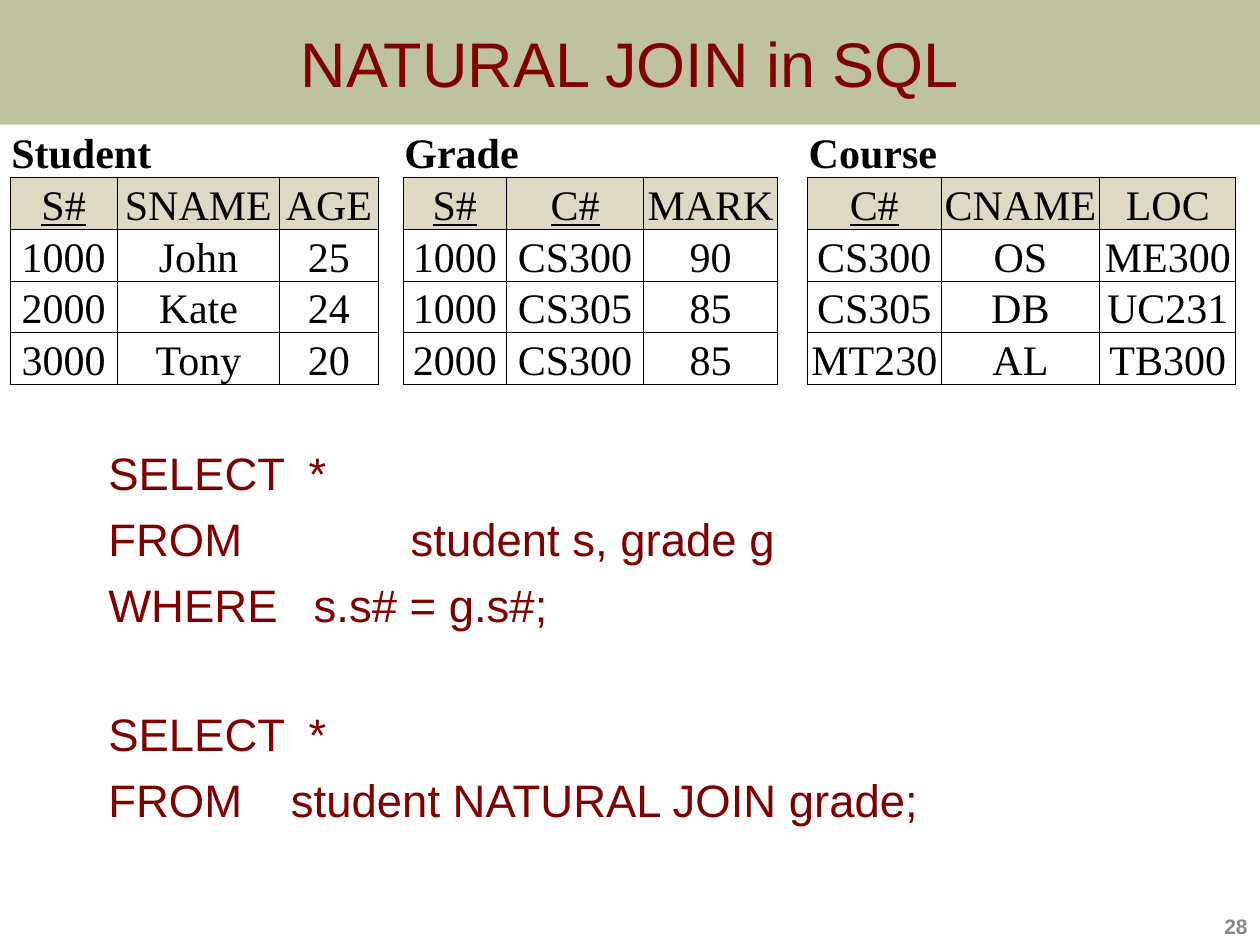
import pptx
import pptx.util
import pptx.dml.color
import pptx.enum.shapes
import pptx.enum.text
import pptx.oxml.ns
import lxml.etree
import dataclasses

Inches = pptx.util.Inches
Pt = pptx.util.Pt
Align = pptx.enum.text.PP_ALIGN
Anchor = pptx.enum.text.MSO_ANCHOR
tag = pptx.oxml.ns.qn


@dataclasses.dataclass(frozen=True)
class Theme:
    sans: str = "Arial"
    serif: str = "Times New Roman"
    olive: str = "6E7524"
    maroon: str = "800000"
    black: str = "000000"
    white: str = "FFFFFF"
    sand: str = "DDD9C4"
    gray: str = "898989"
    title: int = 36
    code: int = 26
    cell: int = 24
    page: int = 12


class Deck:
    def __init__(self, theme):
        self.theme = theme
        self.show = pptx.Presentation()
        self.show.slide_width = Inches(10)
        self.show.slide_height = Inches(7.5)
        self.slide = self.show.slides.add_slide(self.show.slide_layouts[6])

    def color(self, code):
        return pptx.dml.color.RGBColor.from_string(code)

    def apply(self, item, values):
        for key, value in values.items():
            setattr(item, key, value)

    def text(self, para, words, name, size, color, **extra):
        run = para.add_run()
        run.text = words
        self.apply(run.font, {"name": name, "size": Pt(size), **extra})
        run.font.color.rgb = self.color(color)

    def title(self, words):
        bar = self.slide.shapes.add_shape(
            pptx.enum.shapes.MSO_SHAPE.RECTANGLE, 0, 0, Inches(10), Inches(0.99))
        bar.shadow.inherit = False
        bar.line.fill.background()
        bar.fill.solid()
        bar.fill.fore_color.rgb = self.color(self.theme.olive)
        shade = bar._element.spPr.find(".//" + tag("a:srgbClr"))
        lxml.etree.SubElement(shade, tag("a:alpha"), val="44000")
        bar.text_frame.vertical_anchor = Anchor.MIDDLE
        para = bar.text_frame.paragraphs[0]
        para.alignment = Align.CENTER
        self.text(para, words, self.theme.sans, self.theme.title, self.theme.maroon)

    def box(self, left, top, width, height, **values):
        frame = self.slide.shapes.add_textbox(
            Inches(left), Inches(top), Inches(width), Inches(height)).text_frame
        self.apply(frame, {"word_wrap": True, **values})
        return frame

    def code(self, lines):
        frame = self.box(0.26, 3.48, 9.07, 3.02, margin_left=Inches(0.6), margin_right=0)
        for index, (words, stop, space) in enumerate(lines):
            para = frame.paragraphs[0] if index == 0 else frame.add_paragraph()
            para.space_before = Pt(space)
            tabs = lxml.etree.SubElement(para._p.get_or_add_pPr(), tag("a:tabLst"))
            lxml.etree.SubElement(tabs, tag("a:tab"), pos=str(Inches(stop)), algn="l")
            self.text(para, words, self.theme.sans, self.theme.code, self.theme.maroon)

    def page(self, words):
        frame = self.box(7.92, 7, 2.08, 0.5, vertical_anchor=Anchor.BOTTOM)
        para = frame.paragraphs[0]
        para.alignment = Align.RIGHT
        self.text(para, words, self.theme.sans, self.theme.page, self.theme.gray, bold=True)

    def style(self, cell, sides, color):
        hair = Inches(0.01)
        self.apply(cell, {"margin_left": hair, "margin_right": hair, "margin_top": hair,
                          "margin_bottom": 0, "vertical_anchor": Anchor.BOTTOM})
        props = cell._tc.get_or_add_tcPr()
        for side in "LRTB":
            edge = lxml.etree.SubElement(props, tag("a:ln" + side), w=str(Pt(0.5)))
            if side in sides:
                fill = lxml.etree.SubElement(edge, tag("a:solidFill"))
                lxml.etree.SubElement(fill, tag("a:srgbClr"), val=self.theme.black)
            else:
                lxml.etree.SubElement(edge, tag("a:noFill"))
        cell.fill.solid()
        cell.fill.fore_color.rgb = self.color(color)

    def table(self, widths, groups, keys):
        theme = self.theme
        count = len(groups[0][1]) + 1
        grid = self.slide.shapes.add_table(
            count, len(widths), Inches(0.08), Inches(1),
            Inches(sum(widths)), Inches(0.38 * count)).table
        self.apply(grid, {"first_row": False, "horz_banding": False})
        for col, width in zip(grid.columns, widths):
            col.width = Inches(width)
        for row in range(count):
            for col in range(len(widths)):
                gap = col % 4 == 3
                sides = ("" if gap else "B") if row == 0 else ("LR" if gap else "LRTB")
                shade = theme.sand if row == 1 and not gap else theme.white
                self.style(grid.cell(row, col), sides, shade)
        for index, (name, rows) in enumerate(groups):
            start = index * 4
            head = grid.cell(0, start)
            head.merge(grid.cell(0, start + 2))
            self.text(head.text_frame.paragraphs[0], name, theme.serif,
                      theme.cell, theme.black, bold=True)
            for row, line in enumerate(rows, 1):
                for col, words in enumerate(line.split(), start):
                    para = grid.cell(row, col).text_frame.paragraphs[0]
                    para.alignment = Align.CENTER
                    self.text(para, words, theme.serif, theme.cell, theme.black,
                              bold=False, underline=words in keys)


def main():
    deck = Deck(Theme())
    deck.title("NATURAL JOIN in SQL")
    deck.code([
        ("SELECT\t*", 1.59, 6.5),
        ("FROM\tstudent s, grade g", 2.4, 6.5),
        ("WHERE\ts.s# = g.s#;", 1.63, 6.5),
        ("SELECT\t*", 1.59, 43),
        ("FROM\tstudent NATURAL JOIN grade;", 1.45, 6.5),
    ])
    deck.page("28")
    deck.table(
        [0.85, 1.29, 0.78, 0.2, 0.82, 1.09, 1.06, 0.24, 1.06, 1.26, 1.08],
        [
            ("Student", ["S# SNAME AGE", "1000 John 25", "2000 Kate 24", "3000 Tony 20"]),
            ("Grade", ["S# C# MARK", "1000 CS300 90", "1000 CS305 85", "2000 CS300 85"]),
            ("Course", ["C# CNAME LOC", "CS300 OS ME300", "CS305 DB UC231",
                        "MT230 AL TB300"]),
        ],
        {"S#", "C#"},
    )
    deck.show.save("out.pptx")


if __name__ == "__main__":
    main()
